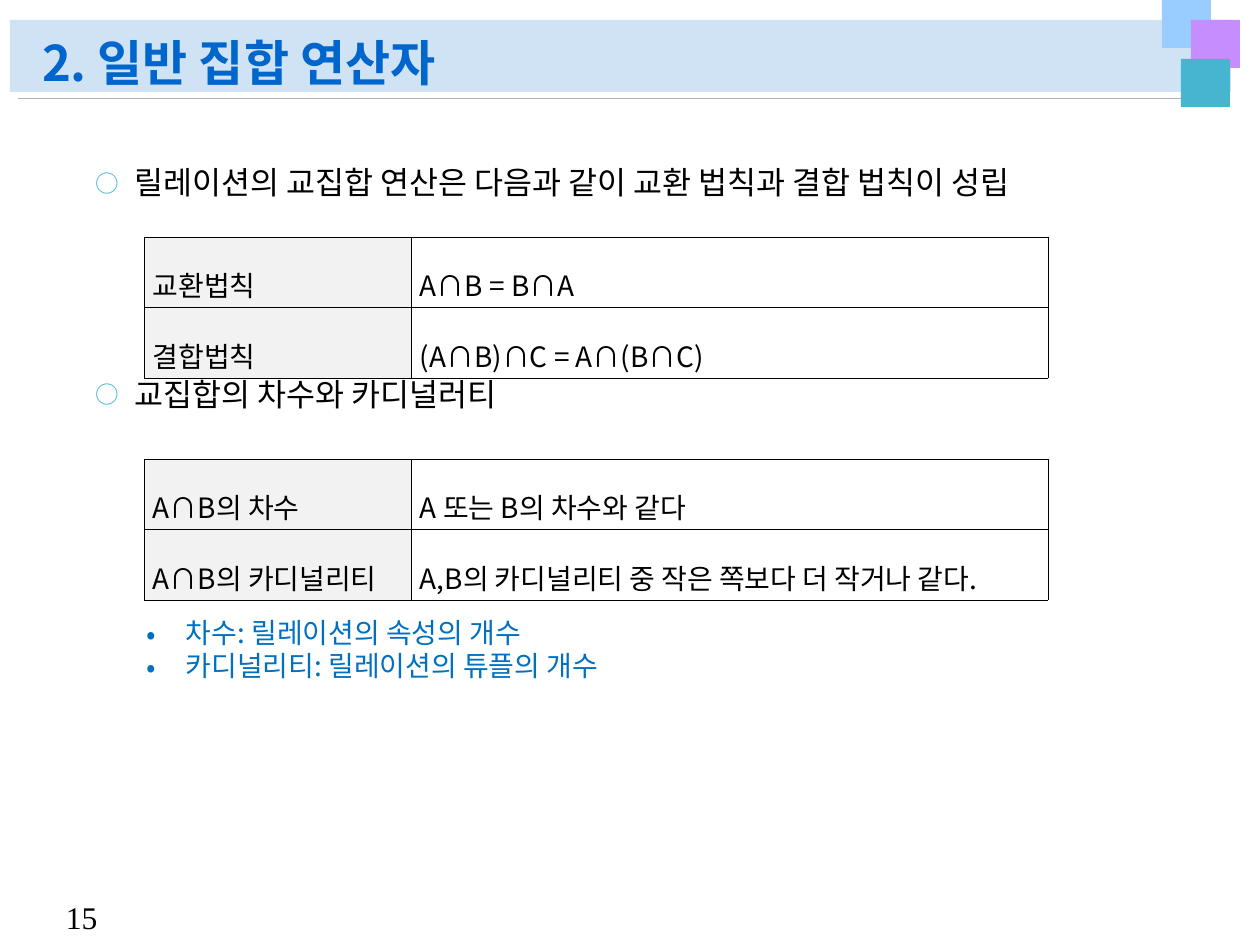
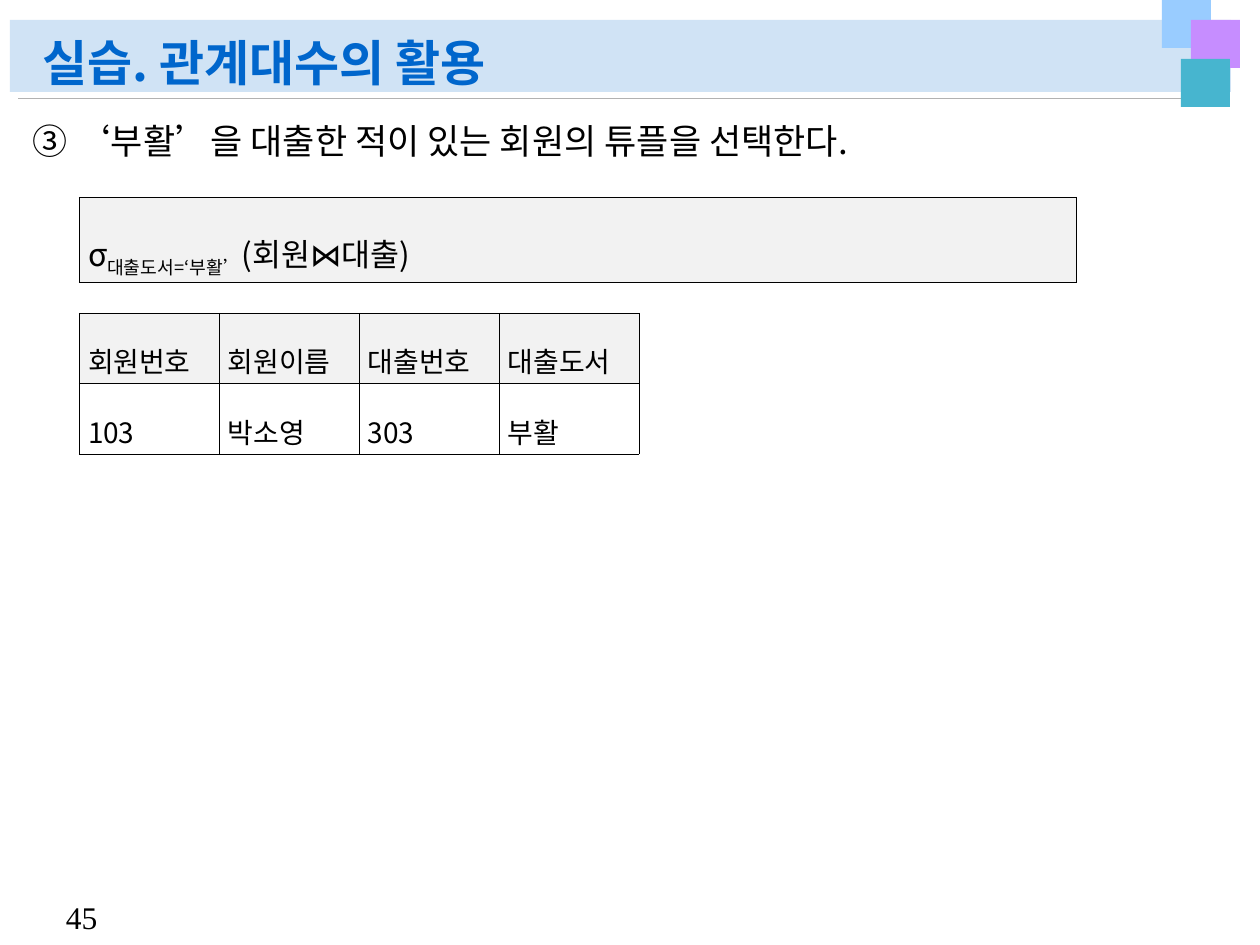
from dataclasses import dataclass

from lxml.etree import SubElement
from pptx import Presentation
from pptx.dml.color import RGBColor
from pptx.enum.shapes import MSO_CONNECTOR as Connector, MSO_SHAPE as Preset
from pptx.enum.text import MSO_ANCHOR as Anchor, MSO_AUTO_SIZE as AutoSize, PP_ALIGN as Align
from pptx.oxml.ns import qn
from pptx.util import Emu, Pt


@dataclass(frozen=True)
class Theme:
    font: str = "Noto Sans CJK KR"
    number_font: str = "Times New Roman"
    ink: str = "000000"
    heading: str = "0066CC"
    note: str = "0070C0"
    band: str = "D0E3F5"
    rule: str = "B2B2B2"
    sky: str = "99CCFF"
    violet: str = "C68DFF"
    teal: str = "47B5CF"
    label: str = "F2F2F2"
    title_size: int = 28
    lead_size: int = 20
    body_size: int = 18
    cell_size: int = 16
    rule_width: float = 0.5
    border_width: float = 0.28


THEME = Theme()
PX_PER_INCH = 126
ROW_HEIGHT = 69
SUBSCRIPT = -25000


def px(length):
    return Emu(round(length * 914400 / PX_PER_INCH))


def rgb(color):
    return RGBColor.from_string(color)


def place(shape, left, top, width, height):
    shape.left, shape.top = px(left), px(top)
    shape.width, shape.height = px(width), px(height)


def set_frame(frame, inset_top=6, inset_bottom=6, anchor=Anchor.TOP, wrap=True):
    frame.auto_size = AutoSize.NONE
    frame.word_wrap = wrap
    frame.vertical_anchor = anchor
    frame.margin_left = frame.margin_right = px(13)
    frame.margin_top, frame.margin_bottom = px(inset_top), px(inset_bottom)


def add_run(paragraph, text, size, color=THEME.ink, font=THEME.font, bold=False, baseline=0):
    run = paragraph.add_run()
    run.text = text
    run.font.size = Pt(size)
    run.font.bold = bold
    run.font.color.rgb = rgb(color)
    run.font.name = font
    properties = run.font._element
    SubElement(properties, qn("a:ea"), typeface=font)
    if baseline:
        properties.set("baseline", str(baseline))


def set_bullet(paragraph, mark=None, color=None, scale=100, margin=0, hanging=0):
    properties = paragraph._p.get_or_add_pPr()
    properties.set("marL", str(px(margin)))
    properties.set("indent", str(-px(hanging)))
    if mark is None:
        SubElement(properties, qn("a:buNone"))
        return
    SubElement(SubElement(properties, qn("a:buClr")), qn("a:srgbClr"), val=color)
    SubElement(properties, qn("a:buSzPct"), val=str(scale * 1000))
    SubElement(properties, qn("a:buFont"), typeface=THEME.font)
    SubElement(properties, qn("a:buChar"), char=mark)


def paragraphs_for(frame, texts):
    for index, text in enumerate(texts):
        yield (frame.add_paragraph() if index else frame.paragraphs[0]), text


def add_block(slide, color, left, top, width, height):
    block = slide.shapes.add_shape(
        Preset.RECTANGLE, px(left), px(top), px(width), px(height))
    block.shadow.inherit = False
    block.fill.solid()
    block.fill.fore_color.rgb = rgb(color)
    block.line.fill.background()
    return block


def add_rule(slide, left, right, y):
    rule = slide.shapes.add_connector(Connector.STRAIGHT, px(right), px(y), px(left), px(y))
    rule.line.color.rgb = rgb(THEME.rule)
    rule.line.width = Pt(THEME.rule_width)
    SubElement(rule._element.spPr, qn("a:effectLst"))
    return rule


def move_band_to_layout(slide):
    layout = slide.slide_layout
    tree = layout.placeholders[0].element.getparent()
    for placeholder in list(layout.placeholders)[2:]:
        tree.remove(placeholder.element)
    band = [
        add_block(slide, THEME.band, 10, 20, 1221, 72),
        add_rule(slide, 18, 1227, 98),
        add_block(slide, THEME.sky, 1162, 0, 49, 48),
        add_block(slide, THEME.violet, 1191, 20, 49, 48),
        add_block(slide, THEME.teal, 1181, 59, 49, 48),
    ]
    for part in band:
        tree.append(part.element)


def add_title(slide, text):
    title = slide.shapes.title
    place(title, 29, 21, 1131, 73)
    set_frame(title.text_frame, inset_bottom=2, anchor=Anchor.BOTTOM)
    heading = title.text_frame.paragraphs[0]
    heading.alignment = Align.LEFT
    heading.line_spacing = 0.9
    add_run(heading, text, THEME.title_size, THEME.heading, bold=True)


def open_body(slide, inset_top):
    body = slide.placeholders[1]
    place(body, 20, 118, 1211, 759)
    set_frame(body.text_frame, inset_top)
    return body.text_frame


def add_points(slide, texts, gap):
    frame = open_body(slide, inset_top=45)
    for point, text in paragraphs_for(frame, texts):
        point.level = 1
        point.space_before = px(gap if point._p.getprevious().tag == qn("a:p") else 0)
        set_bullet(point, "○", THEME.teal, 75, margin=102, hanging=39)
        add_run(point, text, THEME.body_size)


def add_lead(slide, text):
    lead = open_body(slide, inset_top=1).paragraphs[0]
    lead.space_before = Pt(0)
    set_bullet(lead)
    add_run(lead, text, THEME.lead_size)


def add_notes_list(slide, texts):
    notes = slide.shapes.add_textbox(px(134), px(606), px(536), px(81))
    set_frame(notes.text_frame, inset_top=10)
    for note, text in paragraphs_for(notes.text_frame, texts):
        note.line_spacing = Pt(19)
        set_bullet(note, "•", THEME.note, margin=39, hanging=39)
        add_run(note, text, THEME.cell_size, THEME.note)


def add_page_number(slide, number):
    box = slide.shapes.add_textbox(px(53), px(892), px(63), px(50))
    set_frame(box.text_frame, wrap=False)
    add_run(box.text_frame.paragraphs[0], str(number), THEME.body_size, font=THEME.number_font)


def set_borders(cell):
    properties = cell._tc.get_or_add_tcPr()
    for index, side in enumerate(("lnL", "lnR", "lnT", "lnB")):
        border = SubElement(properties, qn(f"a:{side}"), w=str(Pt(THEME.border_width)))
        SubElement(SubElement(border, qn("a:solidFill")), qn("a:srgbClr"), val=THEME.ink)
        properties.insert(index, border)


def style_cell(cell, shaded):
    cell.margin_left = cell.margin_right = px(9)
    cell.margin_top = cell.margin_bottom = px(3)
    cell.vertical_anchor = Anchor.MIDDLE
    if shaded:
        cell.fill.solid()
        cell.fill.fore_color.rgb = rgb(THEME.label)
    else:
        cell.fill.background()
    set_borders(cell)
    line = cell.text_frame.paragraphs[0]
    line.alignment = Align.JUSTIFY
    line.line_spacing = 1.6
    return line


def add_grid(slide, left, top, widths, row_count, row_height):
    grid = slide.shapes.add_table(
        row_count, len(widths), px(left), px(top),
        px(sum(widths)), px(row_height * row_count)).table
    grid.first_row = grid.horz_banding = False
    for column, width in zip(grid.columns, widths):
        column.width = px(width)
    return grid


def add_text_table(slide, left, top, widths, rows, is_label):
    grid = add_grid(slide, left, top, widths, len(rows), ROW_HEIGHT)
    for r, row in enumerate(rows):
        for c, text in enumerate(row):
            line = style_cell(grid.cell(r, c), is_label(r, c))
            add_run(line, text, THEME.cell_size)


def add_law_table(slide, top, rows):
    add_text_table(slide, 144, top, (267, 637), rows, lambda r, c: c == 0)


def add_formula(slide, left, top, width, operator, condition, operand):
    grid = add_grid(slide, left, top, (width,), 1, 84)
    line = style_cell(grid.cell(0, 0), shaded=True)
    add_run(line, operator, THEME.body_size)
    add_run(line, condition, THEME.body_size, baseline=SUBSCRIPT)
    add_run(line, operand, THEME.body_size)


def build_intersection(slide):
    add_title(slide, "2. 일반 집합 연산자")
    add_points(slide, (
        "릴레이션의 교집합 연산은 다음과 같이 교환 법칙과 결합 법칙이 성립",
        "교집합의 차수와 카디널러티",
    ), gap=174)
    add_law_table(slide, 237, (
        ("교환법칙", "A∩B = B∩A"),
        ("결합법칙", "(A∩B)∩C = A∩(B∩C)"),
    ))
    add_law_table(slide, 459, (
        ("A∩B의 차수", "A 또는 B의 차수와 같다"),
        ("A∩B의 카디널리티", "A,B의 카디널리티 중 작은 쪽보다 더 작거나 같다."),
    ))
    add_notes_list(slide, (
        "차수: 릴레이션의 속성의 개수",
        "카디널리티: 릴레이션의 튜플의 개수",
    ))
    add_page_number(slide, 15)


def build_selection(slide):
    add_title(slide, "실습. 관계대수의 활용")
    add_lead(slide, "③ ‘부활’을 대출한 적이 있는 회원의 튜플을 선택한다.")
    add_formula(slide, 79, 197, 997, "σ", "대출도서=‘부활’", "(회원⋈대출)")
    add_text_table(slide, 79, 313, (140,) * 4, (
        ("회원번호", "회원이름", "대출번호", "대출도서"),
        ("103", "박소영", "303", "부활"),
    ), lambda r, c: r == 0)
    add_page_number(slide, 45)


def main():
    deck = Presentation()
    deck.slide_width, deck.slide_height = px(1260), px(945)
    layout = deck.slide_layouts[1]
    intersection = deck.slides.add_slide(layout)
    move_band_to_layout(intersection)
    build_intersection(intersection)
    build_selection(deck.slides.add_slide(layout))
    deck.save("out.pptx")


if __name__ == "__main__":
    main()
